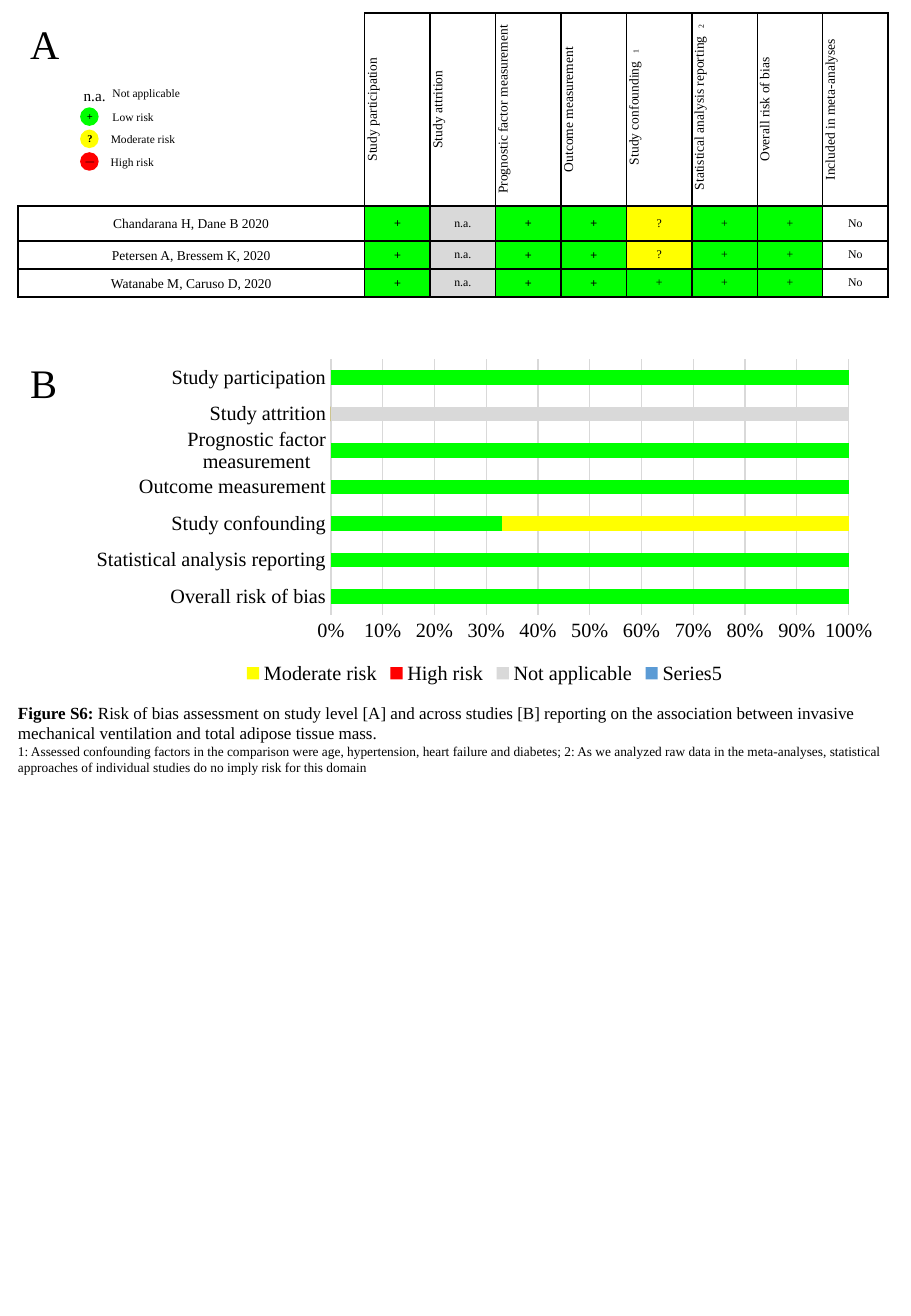
from lxml import etree
from pptx import Presentation, util as u
from pptx.chart.data import CategoryChartData
from pptx.dml.color import RGBColor
from pptx.enum import chart as ch, shapes, text
from pptx.oxml import parse_xml
from pptx.oxml.ns import nsdecls, qn

Pt = u.Pt
SERIF = "Times New Roman"
GREEN, YELLOW, RED, GREY = "00FF00", "FFFF00", "FF0000", "D9D9D9"


def hue(code):
    return RGBColor.from_string(code)


def write(par, words, size=8, face=SERIF, bold=False, base=0, align=None):
    run = par.add_run()
    run.text = words
    run.font.size, run.font.name, run.font.bold = Pt(size), face, bold
    run.font.color.rgb = hue("000000")
    if base:
        run.font._element.set("baseline", str(base * 1000))
    if align:
        par.alignment = align


deck = Presentation()
deck.slide_width, deck.slide_height = Pt(540), Pt(779.76)
slide = deck.slides.add_slide(deck.slide_layouts[6])
mid = text.PP_ALIGN.CENTER

heads = ["Study participation", "Study attrition", "Prognostic factor measurement",
         "Outcome measurement", "Study confounding ", "Statistical analysis reporting ",
         "Overall risk of bias", "Included in meta-analyses"]
notes = {5: "1", 6: "2"}
studies = [("Chandarana H, Dane B 2020", "?"),
           ("Petersen A, Bressem K, 2020", "?"),
           ("Watanabe M, Caruso D, 2020", "+")]
fills = {"+": GREEN, "?": YELLOW, "n.a.": GREY}
rows = [[""] + heads]
for name, mark in studies:
    rows.append([name, "+", "n.a.", "+", "+", mark, "+", "+", "No"])

table = slide.shapes.add_table(4, 9, Pt(10.6), Pt(7.7), Pt(516), Pt(168.3)).table
table.first_row = table.horz_banding = False
for i, high in enumerate([114.4, 20.7, 16.6, 16.6]):
    table.rows[i].height = Pt(high)
for j in range(9):
    table.columns[j].width = Pt(38.8 if j else 205.6)

for i, row in enumerate(rows):
    for j, words in enumerate(row):
        cell = table.cell(i, j)
        cell.vertical_anchor = text.MSO_ANCHOR.MIDDLE
        pad = 0.72 if i and j == 0 else 0
        cell.margin_left = cell.margin_right = cell.margin_top = Pt(pad)
        cell.margin_bottom = Pt(0)
        if words in fills:
            cell.fill.solid()
            cell.fill.fore_color.rgb = hue(fills[words])
        else:
            cell.fill.background()
        props = cell._tc.get_or_add_tcPr()
        corner = i == j == 0
        for k, side in enumerate("RB" if corner else "LRTB"):
            props.insert(k, parse_xml(
                f'<a:ln{side} {nsdecls("a")} w="12700"><a:solidFill>'
                f'<a:srgbClr val="000000"/></a:solidFill></a:ln{side}>'))
        if corner:
            continue
        par = cell.text_frame.paragraphs[0]
        face = "Arial" if words == "+" and j < 5 else SERIF
        write(par, words, size=7 if i and j else 8, face=face, align=mid)
        if i == 0:
            props.set("vert", "vert270")
            if j in notes:
                write(par, notes[j], base=30)

for mark, top, size, fill in [("+", 63.6, 6.2, GREEN), ("?", 76.8, 6.2, YELLOW),
                              ("—", 90.2, 5.1, RED)]:
    dot = slide.shapes.add_shape(shapes.MSO_SHAPE.OVAL, Pt(47.5), Pt(top), Pt(11), Pt(11))
    dot.shadow.inherit = False
    dot.fill.solid()
    dot.fill.fore_color.rgb = hue(fill)
    dot.line.fill.background()
    frame = dot.text_frame
    frame.margin_left = Pt(0.72)
    frame.margin_right = frame.margin_top = frame.margin_bottom = Pt(0)
    frame.vertical_anchor = text.MSO_ANCHOR.MIDDLE
    write(frame.paragraphs[0], mark, size=size, bold=True, align=mid)

lead = "Figure S6: "
labels = [("A", 10.8, 7.9, 22.3, 36, 24, True), ("B", 10.8, 208.8, 22.3, 36, 24, True),
          ("n.a.", 42.5, 47.5, 27.4, 18, 9, False),
          ("Not applicable", 59.6, 47.7, 54.7, 15, 6.8, False),
          ("Low risk", 59.6, 61.9, 38.9, 15, 6.8, False),
          ("Moderate risk", 58.6, 74.7, 52.6, 15, 6.8, False),
          ("High risk", 58.5, 88.3, 40.3, 15, 6.8, False),
          (lead, 3.6, 412.6, 540, 51, 10.1, True)]
for words, left, top, wide, high, size, wrap in labels:
    frame = slide.shapes.add_textbox(Pt(left), Pt(top), Pt(wide), Pt(high)).text_frame
    frame.word_wrap = wrap
    frame.auto_size = text.MSO_AUTO_SIZE.SHAPE_TO_FIT_TEXT
    par = frame.paragraphs[0]
    write(par, words, size=size, bold=words == lead)
    if words == lead:
        write(par, "Risk of bias assessment on study level [A] and across studies [B] "
              "reporting on the association between invasive mechanical ventilation "
              "and total adipose tissue mass.", size=size)
        par.add_line_break()
        write(par, "1: Assessed confounding factors in the comparison were age, "
              "hypertension, heart failure and diabetes; 2: As we analyzed raw data in "
              "the meta-analyses, statistical approaches of individual studies do no "
              "imply risk for this domain", size=7.9)

data = CategoryChartData()
data.categories = [head.strip() for head in heads[6::-1]]
series = [("Low risk", [100, 100, 33, 100, 100, 0, 100], GREEN),
          ("Moderate risk", [0, 0, 67, 0, 0, 0, 0], YELLOW),
          ("High risk", [0] * 7, RED),
          ("Not applicable", [0, 0, 0, 0, 0, 100, 0], GREY),
          ("Series5", [None] * 7, "5B9BD5")]
for name, vals, fill in series:
    data.add_series(name, vals)
chart = slide.shapes.add_chart(ch.XL_CHART_TYPE.BAR_STACKED_100, Pt(47.5), Pt(208.8),
                               Pt(479.5), Pt(199.4), data).chart
chart.has_title = False
chart.font.size, chart.font.name = Pt(10), SERIF
chart.font.color.rgb = hue("000000")
plot = chart.plots[0]
plot.gap_width, plot.overlap, plot.vary_by_categories = 150, 100, False
for bar, (name, vals, fill) in zip(plot.series, series):
    bar.format.fill.solid()
    bar.format.fill.fore_color.rgb = hue(fill)

chart.has_legend = True
legend = chart.legend
legend.position = ch.XL_LEGEND_POSITION.BOTTOM
legend.include_in_layout = False
cat, val = chart.category_axis, chart.value_axis
for part in (cat.tick_labels, val.tick_labels, legend):
    part.font.size, part.font.name = Pt(12), SERIF
    part.font.color.rgb = hue("000000")
for axis in (cat, val):
    axis.major_tick_mark = axis.minor_tick_mark = ch.XL_TICK_MARK.NONE
val.has_major_gridlines = True
for line in (cat.format.line, val.major_gridlines.format.line):
    line.width = Pt(0.75)
    line.color.rgb = hue(GREY)
val.format.line.fill.background()
val.major_unit = 0.1
val.tick_labels.number_format = "0%"
val.tick_labels.number_format_is_linked = False

legend._element.find(qn("c:legendPos")).addnext(parse_xml(
    f'<c:legendEntry {nsdecls("c")}><c:idx val="4"/><c:delete val="1"/></c:legendEntry>'))
area = chart._chartSpace.chart.plotArea
for old in area.findall(qn("c:layout")):
    area.remove(old)
layout = etree.Element(qn("c:layout"))
manual = etree.SubElement(layout, qn("c:manualLayout"))
for tag, value in [("layoutTarget", "inner"), ("xMode", "edge"), ("yMode", "edge"),
                   ("x", "0.31"), ("y", "0.02"), ("w", "0.64"), ("h", "0.76")]:
    etree.SubElement(manual, qn("c:" + tag)).set("val", value)
area.insert(0, layout)

deck.save("out.pptx")
